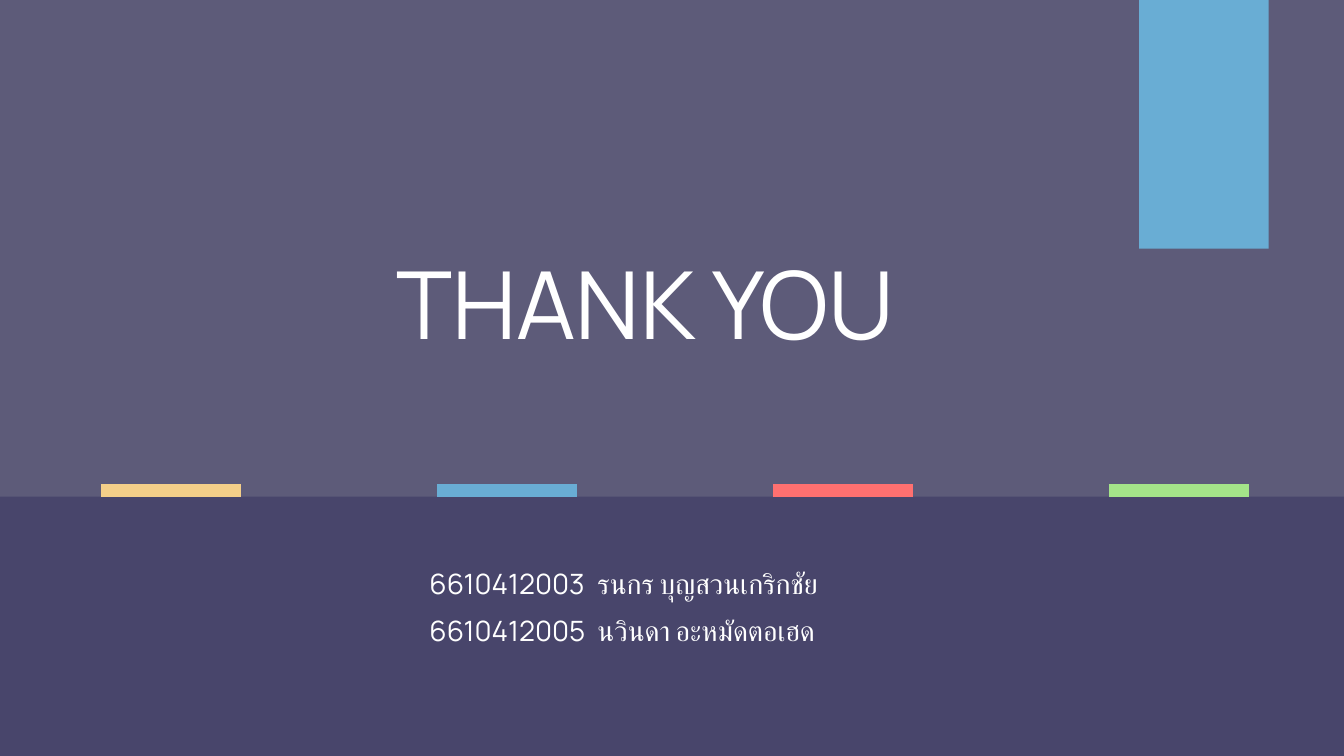
from dataclasses import dataclass

from lxml.etree import SubElement
from pptx import Presentation
from pptx.dml.color import RGBColor
from pptx.enum.shapes import MSO_CONNECTOR, MSO_SHAPE
from pptx.enum.text import MSO_ANCHOR, MSO_AUTO_SIZE, PP_ALIGN
from pptx.oxml.ns import qn
from pptx.shapes.placeholder import SlidePlaceholder
from pptx.slide import Slide
from pptx.text.text import _Paragraph as Paragraph
from pptx.util import Inches, Pt


@dataclass(frozen=True)
class Theme:
    font: str = "Manrope"
    background: str = "48456B"
    panel: str = "5D5B79"
    text: str = "FFFFFF"
    yellow: str = "F4CF89"
    blue: str = "69ADD4"
    red: str = "FF7070"
    green: str = "A4E489"
    title_size: float = 100.5
    member_size: float = 30
    dash_width: float = 13.5


@dataclass(frozen=True)
class Box:
    left: float
    top: float
    width: float
    height: float


@dataclass(frozen=True)
class Member:
    student_id: str
    name: str
    align: PP_ALIGN
    line_height: float


THEME = Theme()
PANEL = Box(0, 0, 20, 7.39)
RIBBON = Box(16.95, -0.53, 1.93, 4.23)
TITLE = Box(5.9, 3.38, 8.21, 1.98)
MEMBER_LIST = Box(6.39, 8.34, 7.22, 1.23)
NAME_TAB = 2.81
DASH_LEFT, DASH_TOP, DASH_LENGTH, DASH_STEP = 1.5, 7.3, 2.09, 5
DASH_COLORS = (THEME.yellow, THEME.blue, THEME.red, THEME.green)
MEMBERS = (
    Member("6610412003", "รนกร บุญสวนเกริกชัย", PP_ALIGN.LEFT, 42),
    Member("6610412005", "นวินดา อะหมัดตอเฮด", PP_ALIGN.JUSTIFY, 50.7),
)


def add_block(slide: Slide, box: Box, color: str) -> None:
    block = slide.shapes.add_shape(
        MSO_SHAPE.RECTANGLE,
        Inches(box.left), Inches(box.top), Inches(box.width), Inches(box.height),
    )
    block.shadow.inherit = False
    block.fill.solid()
    block.fill.fore_color.rgb = RGBColor.from_string(color)
    block.line.fill.background()


def add_dash(slide: Slide, left: float, color: str) -> None:
    dash = slide.shapes.add_connector(
        MSO_CONNECTOR.STRAIGHT,
        Inches(left), Inches(DASH_TOP), Inches(left + DASH_LENGTH), Inches(DASH_TOP),
    )
    dash.line.color.rgb = RGBColor.from_string(color)
    dash.line.width = Pt(THEME.dash_width)
    SubElement(dash.element.spPr, qn("a:effectLst"))


def place(holder: SlidePlaceholder, box: Box) -> None:
    holder.left, holder.top = Inches(box.left), Inches(box.top)
    holder.width, holder.height = Inches(box.width), Inches(box.height)
    frame = holder.text_frame
    frame.margin_left = frame.margin_top = Inches(0)
    frame.margin_right = frame.margin_bottom = Inches(0)
    frame.vertical_anchor = MSO_ANCHOR.TOP
    frame.auto_size = MSO_AUTO_SIZE.NONE
    frame.word_wrap = True
    holder.element.getparent().append(holder.element)


def format_paragraph(paragraph: Paragraph, align: PP_ALIGN, line_height: float) -> None:
    paragraph.alignment = align
    paragraph.line_spacing = Pt(line_height)
    paragraph.space_before = paragraph.space_after = Pt(0)


def add_run(paragraph: Paragraph, wording: str, size: float) -> None:
    run = paragraph.add_run()
    run.text = wording
    run.font.size = Pt(size)
    run.font.name = THEME.font
    run.font.color.rgb = RGBColor.from_string(THEME.text)
    SubElement(run.font._element, qn("a:cs"), typeface=THEME.font)


def add_member(paragraph: Paragraph, member: Member) -> None:
    format_paragraph(paragraph, member.align, member.line_height)
    tabs = SubElement(paragraph._p.get_or_add_pPr(), qn("a:tabLst"))
    SubElement(tabs, qn("a:tab"), pos=str(Inches(NAME_TAB)), algn="l")
    for wording in (member.student_id, "\t", member.name):
        add_run(paragraph, wording, THEME.member_size)


def main() -> None:
    deck = Presentation()
    deck.slide_width, deck.slide_height = Inches(20), Inches(11.25)
    slide = deck.slides.add_slide(deck.slide_layouts[0])
    slide.background.fill.solid()
    slide.background.fill.fore_color.rgb = RGBColor.from_string(THEME.background)

    add_block(slide, PANEL, THEME.panel)
    for index, color in enumerate(DASH_COLORS):
        add_dash(slide, DASH_LEFT + index * DASH_STEP, color)
    add_block(slide, RIBBON, THEME.blue)

    thanks = slide.shapes.title
    place(thanks, TITLE)
    greeting = thanks.text_frame.paragraphs[0]
    format_paragraph(greeting, PP_ALIGN.LEFT, 140.7)
    add_run(greeting, "THANK YOU", THEME.title_size)

    member_list = slide.placeholders[1]
    place(member_list, MEMBER_LIST)
    frame = member_list.text_frame
    for index, member in enumerate(MEMBERS):
        add_member(frame.add_paragraph() if index else frame.paragraphs[0], member)

    deck.save("out.pptx")


if __name__ == "__main__":
    main()
